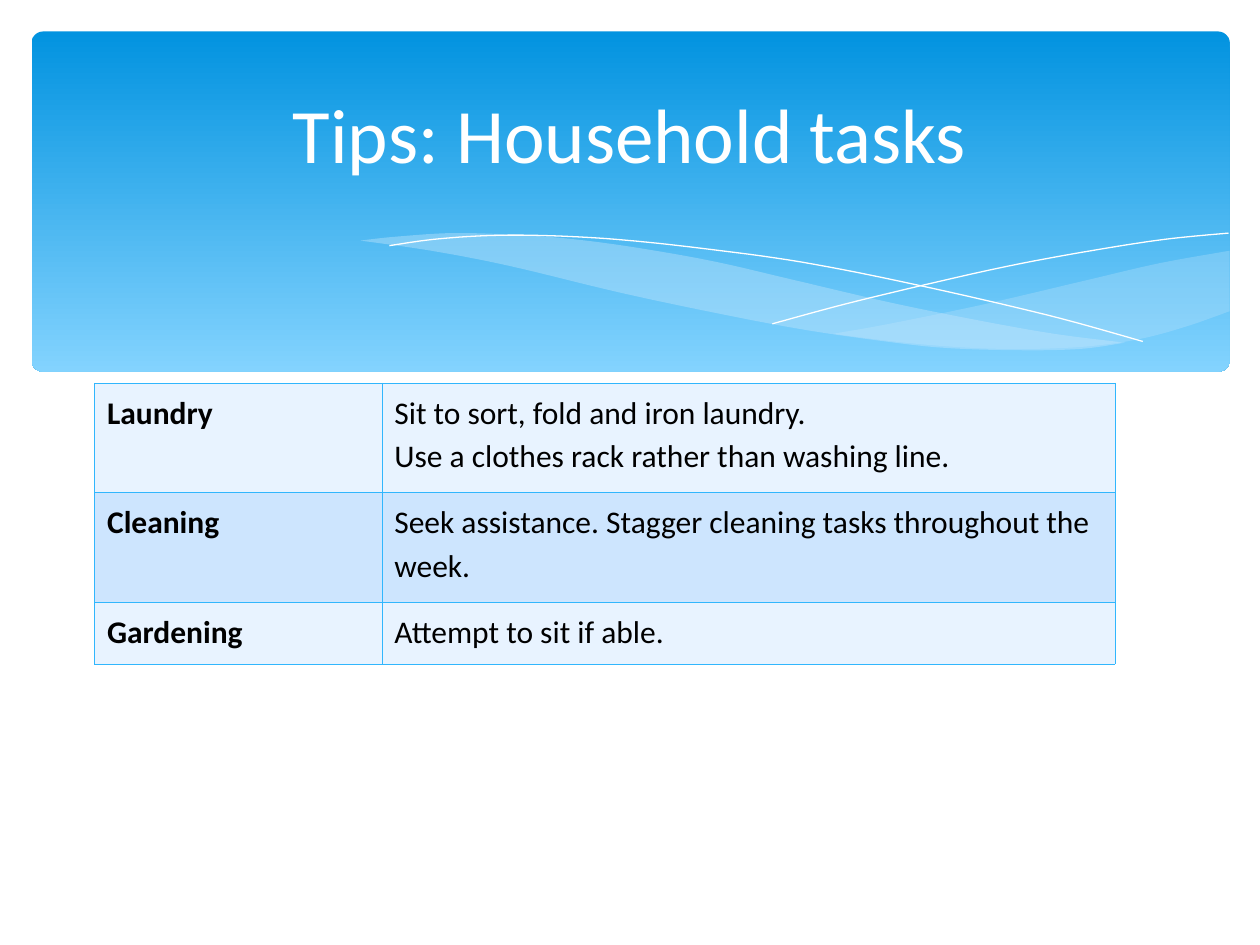
import dataclasses

import lxml.etree
import pptx
import pptx.dml.color
import pptx.enum.shapes
import pptx.enum.text
import pptx.oxml.ns
import pptx.util


@dataclasses.dataclass
class Theme:
    font: str = "Calibri"
    title_size: float = 44
    body_size: float = 18
    white: str = "FFFFFF"
    text: str = "000000"
    banner_top: str = "0293E0"
    banner_bottom: str = "83D3FE"
    wave: str = "C6E7FC"
    band_light: str = "E8F3FF"
    band_dark: str = "CDE5FE"
    border: str = "31B6FD"


def rgb(value):
    return pptx.dml.color.RGBColor.from_string(value)


def add_xml(parent, tag, **attributes):
    return lxml.etree.SubElement(parent, pptx.oxml.ns.qn(tag), attributes)


def smooth(points, steps=8):
    """Curve through the points (Catmull-Rom)."""
    padded = [points[0], *points, points[-1]]
    curve = [points[0]]
    for a, b, c, d in zip(padded, padded[1:], padded[2:], padded[3:]):
        for i in range(1, steps + 1):
            t = i / steps
            curve.append(tuple(
                (2 * q + (r - p) * t + (2 * p - 5 * q + 4 * r - s) * t ** 2
                 + (3 * q - p - 3 * r + s) * t ** 3) / 2
                for p, q, r, s in zip(a, b, c, d)))
    return curve


class Deck:
    COLUMNS, ROWS = 10, 7.5  # grid covering the slide

    def __init__(self, prs, theme):
        self.prs, self.theme = prs, theme
        self.slide = prs.slides.add_slide(prs.slide_layouts[5])

    def x(self, columns):
        return pptx.util.Emu(round(self.prs.slide_width * columns / self.COLUMNS))

    def y(self, rows):
        return pptx.util.Emu(round(self.prs.slide_height * rows / self.ROWS))

    def box(self, left, top, width, height):
        return self.x(left), self.y(top), self.x(width), self.y(height)

    def format_runs(self, p, size, color, bold=False):
        for r in p.runs:
            r.font.name = self.theme.font
            r.font.size = pptx.util.Pt(size)
            r.font.bold = bold
            r.font.color.rgb = rgb(color)

    def banner(self, *box):
        sp = self.slide.shapes.add_shape(
            pptx.enum.shapes.MSO_SHAPE.ROUNDED_RECTANGLE, *self.box(*box))
        sp.adjustments[0] = 0.034
        sp.shadow.inherit = False
        sp.line.fill.background()
        sp.fill.gradient()
        sp.fill.gradient_angle = 270
        colors = (self.theme.banner_top, self.theme.banner_bottom)
        for stop, color in zip(sp.fill.gradient_stops, colors):
            stop.color.rgb = rgb(color)

    def freeform(self, points, close):
        points = [(self.x(px), self.y(py)) for px, py in points]
        builder = self.slide.shapes.build_freeform(*points[0])
        builder.add_line_segments(points[1:], close=close)
        sp = builder.convert_to_shape()
        sp.shadow.inherit = False
        return sp

    def wave(self, upper, lower, opacity):
        sp = self.freeform(smooth(upper) + smooth(lower), close=True)
        sp.line.fill.background()
        sp.fill.solid()
        sp.fill.fore_color.rgb = rgb(self.theme.wave)
        color = sp.fill._xPr.find(".//" + pptx.oxml.ns.qn("a:srgbClr"))
        add_xml(color, "a:alpha", val=str(opacity * 1000))

    def curve(self, points):
        sp = self.freeform(smooth(points), close=False)
        sp.fill.background()
        sp.line.color.rgb = rgb(self.theme.white)
        sp.line.width = pptx.util.Pt(0.75)

    def title(self, text, *box):
        sp = self.slide.shapes.title
        sp.left, sp.top, sp.width, sp.height = self.box(*box)
        # Bring the title in front of the banner
        self.slide.shapes._spTree.append(sp._element)
        tf = sp.text_frame
        tf.text = text
        tf.vertical_anchor = pptx.enum.text.MSO_ANCHOR.MIDDLE
        p = tf.paragraphs[0]
        p.alignment = pptx.enum.text.PP_ALIGN.CENTER
        self.format_runs(p, self.theme.title_size, self.theme.white)

    def cell(self, cell, text, fill, bold):
        cell.text_frame.text = text
        for p in cell.text_frame.paragraphs:
            p.line_spacing = 1.13
            self.format_runs(p, self.theme.body_size, self.theme.text, bold)
        tc_pr = cell._tc.get_or_add_tcPr()
        for side in ("a:lnL", "a:lnR", "a:lnT", "a:lnB"):
            line = add_xml(tc_pr, side, w=str(pptx.util.Pt(0.23)))
            add_xml(add_xml(line, "a:solidFill"), "a:srgbClr", val=self.theme.border)
        cell.fill.solid()
        cell.fill.fore_color.rgb = rgb(fill)

    def table(self, left, top, widths, heights, rows):
        table = self.slide.shapes.add_table(
            len(rows), len(widths),
            *self.box(left, top, sum(widths), sum(heights))).table
        table.first_row = table.horz_banding = False
        for column, width in zip(table.columns, widths):
            column.width = self.x(width)
        bands = (self.theme.band_light, self.theme.band_dark)
        for i, (texts, height) in enumerate(zip(rows, heights)):
            table.rows[i].height = self.y(height)
            for j, text in enumerate(texts):
                self.cell(table.cell(i, j), text, bands[i % 2], bold=j == 0)


def main():
    prs = pptx.Presentation()
    prs.slide_width, prs.slide_height = pptx.util.Inches(10), pptx.util.Inches(7.5)
    deck = Deck(prs, Theme())

    # Banner with two waves and two thin curves
    deck.banner(0.25, 0.25, 9.51, 2.7)
    deck.wave(
        [(9.76, 1.99), (9.2, 2.09), (8.6, 2.23), (7.79, 2.42), (7.06, 2.57), (6.61, 2.65)],
        [(6.61, 2.65), (7.18, 2.72), (7.69, 2.76), (8.14, 2.77), (8.63, 2.75),
         (9.05, 2.69), (9.42, 2.59), (9.76, 2.47)], 29)
    deck.wave(
        [(8.93, 2.72), (8.37, 2.65), (7.75, 2.54), (7.06, 2.4), (6.29, 2.22), (5.69, 2.08),
         (5.14, 1.98), (4.65, 1.91), (4.2, 1.87), (3.61, 1.85), (3.13, 1.88), (2.86, 1.91)],
        [(2.86, 1.91), (3.42, 1.99), (4.04, 2.11), (4.91, 2.32), (5.66, 2.48), (6.34, 2.61),
         (6.95, 2.7), (7.48, 2.76), (8.07, 2.78), (8.57, 2.77), (8.93, 2.72)], 40)
    deck.curve([(3.09, 1.95), (3.44, 1.9), (3.87, 1.87), (4.33, 1.87), (4.89, 1.9),
                (5.56, 1.97), (6.36, 2.08), (7.27, 2.26), (8.31, 2.5), (9.07, 2.71)])
    deck.curve([(6.13, 2.57), (6.72, 2.41), (7.47, 2.23), (8.06, 2.1), (8.66, 1.99),
                (9.24, 1.9), (9.75, 1.85)])
    deck.title("Tips: Household tasks", 0.5, 0.37, 9, 1.37)

    # Tips table
    deck.table(0.75, 3.04, [2.28, 5.82], [0.87, 0.87, 0.49], [
        ("Laundry", "Sit to sort, fold and iron laundry.\n"
                    "Use a clothes rack rather than washing line."),
        ("Cleaning", "Seek assistance. Stagger cleaning tasks throughout the week."),
        ("Gardening", "Attempt to sit if able."),
    ])
    prs.save("out.pptx")


if __name__ == "__main__":
    main()
